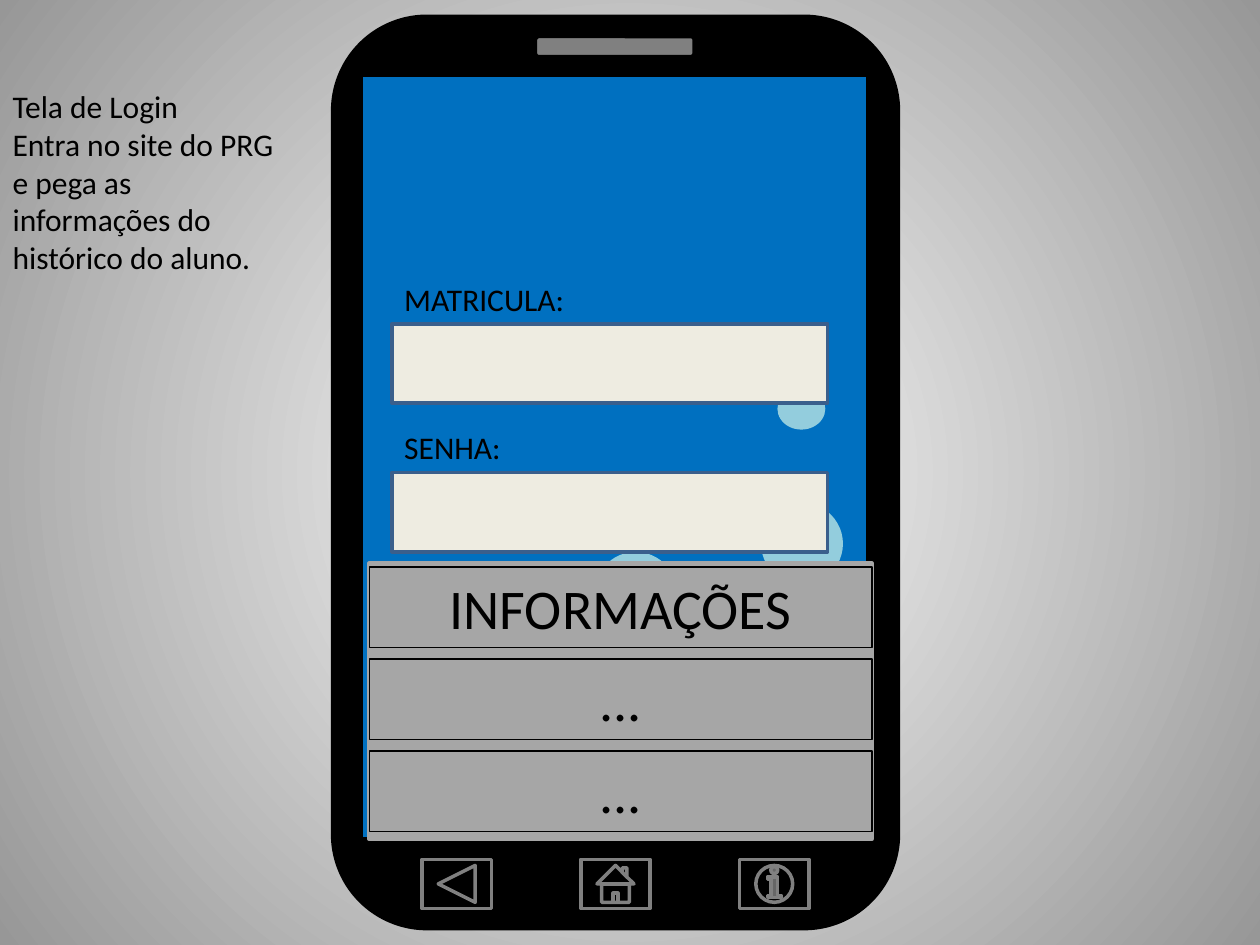
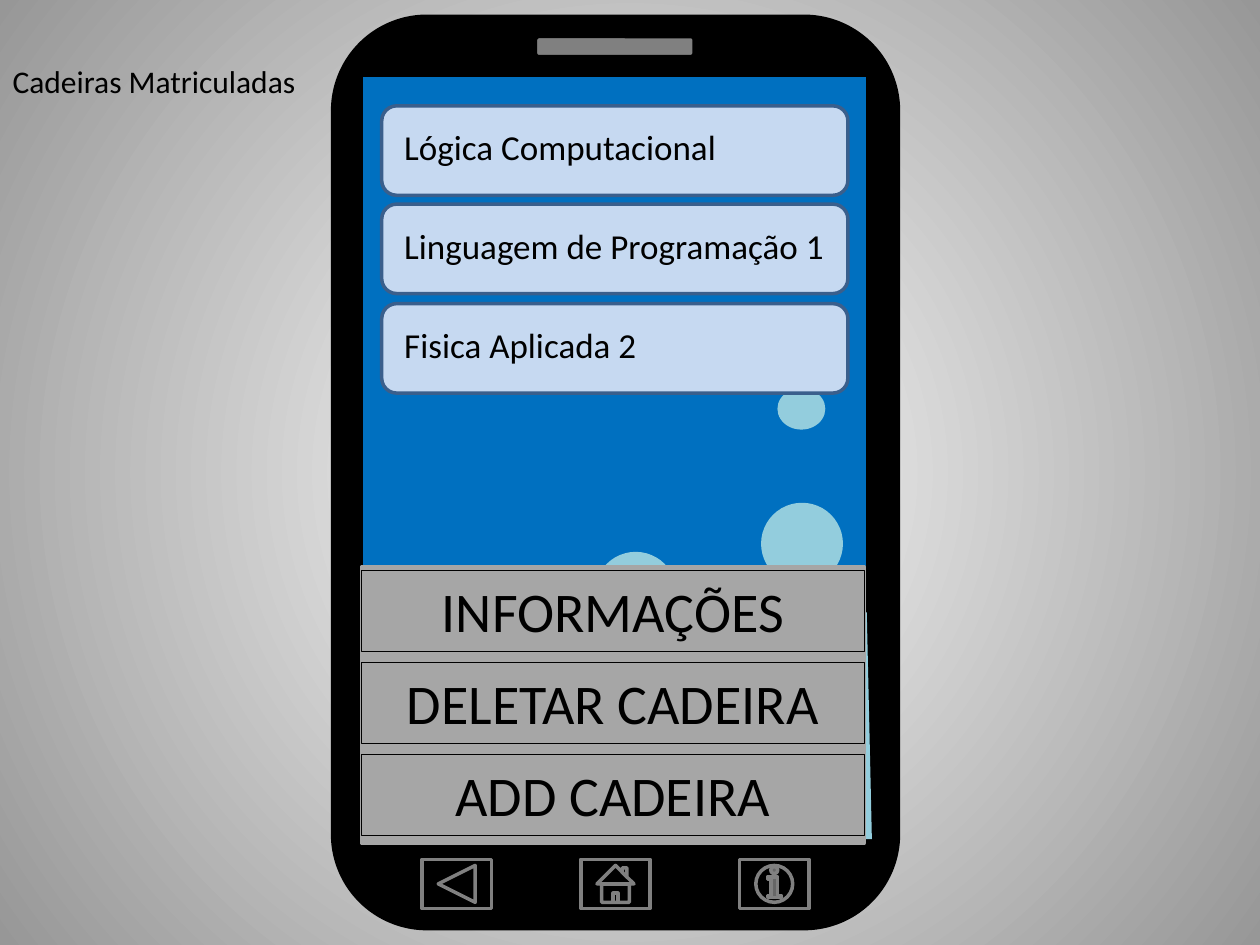
"""Build two slides that mock up the screens of a course enrolment app."""
from dataclasses import dataclass
from typing import Any, NamedTuple, Optional

from lxml import etree
from pptx import Presentation
from pptx.dml.color import RGBColor
from pptx.enum.shapes import MSO_SHAPE
from pptx.enum.text import MSO_ANCHOR, MSO_AUTO_SIZE, PP_ALIGN
from pptx.oxml.ns import qn
from pptx.util import Emu, Pt

PX = 9144
TITLE_ONLY = 5
RECT, ROUND, OVAL, PIE = (MSO_SHAPE.RECTANGLE, MSO_SHAPE.ROUNDED_RECTANGLE,
                          MSO_SHAPE.OVAL, MSO_SHAPE.PIE)
HOME, BACK, INFO = (MSO_SHAPE.ACTION_BUTTON_HOME,
                    MSO_SHAPE.ACTION_BUTTON_BACK_OR_PREVIOUS,
                    MSO_SHAPE.ACTION_BUTTON_INFORMATION)
LEFT, CENTER = PP_ALIGN.LEFT, PP_ALIGN.CENTER
TOP = MSO_ANCHOR.TOP
FIT, FIXED = MSO_AUTO_SIZE.SHAPE_TO_FIT_TEXT, MSO_AUTO_SIZE.NONE


@dataclass(frozen=True)
class Theme:
    """Colours, font and type sizes of the deck."""
    font: str = "Calibri"
    black: str = "000000"
    glow: str = "FFFFFF"
    edge: str = "979797"
    screen: str = "0070C0"
    bubble: str = "93CDDD"
    metal: str = "808080"
    menu: str = "A6A6A6"
    field: str = "EEECE1"
    card: str = "C6D9F1"
    outline: str = "3A5F8C"
    body: int = 18
    course: int = 20
    action: int = 32
    thick: float = 2
    thin: float = 0.75


THEME = Theme()


class Box(NamedTuple):
    """Left, top, width and height in px."""
    left: int
    top: int
    width: int
    height: int

    def emu(self) -> list[Emu]:
        """Return the four lengths in EMU."""
        return [Emu(v * PX) for v in self]


@dataclass(frozen=True)
class Part:
    """A preset shape with its fill and outline."""
    kind: Any
    box: Box
    fill: Optional[str] = None
    line: Optional[str] = None
    weight: float = THEME.thick
    angles: tuple[float, ...] = ()


PHONE = (
    Part(ROUND, Box(264, 13, 449, 724), THEME.black, THEME.black),
    Part(RECT, Box(287, 60, 402, 606), THEME.screen, THEME.black),
    Part(ROUND, Box(425, 29, 126, 16), THEME.metal, THEME.black),
) + tuple(Part(kind, Box(335 + 126 * i, 682, 55, 39), THEME.black, THEME.metal)
          for i, kind in enumerate((BACK, HOME, INFO)))

BUBBLES = (
    Part(PIE, Box(508, 486, 368, 360), THEME.bubble, angles=(108, 161.22)),
    Part(OVAL, Box(472, 438, 65, 65), THEME.bubble),
    Part(OVAL, Box(604, 399, 65, 65), THEME.bubble),
    Part(OVAL, Box(617, 308, 38, 33), THEME.bubble),
)


def assign(obj: Any, values: dict[str, Any]) -> None:
    """Set each named attribute of an object."""
    for name, value in values.items():
        setattr(obj, name, value)


def write(sp: Any, lines: list[str], size: int, align: Any = LEFT,
          fit: Any = FIT) -> None:
    """Fill a shape with one paragraph for each line."""
    tf = sp.text_frame
    tf.text = "\n".join(lines)
    assign(tf, {"word_wrap": True, "auto_size": fit, "vertical_anchor": TOP})
    for p in tf.paragraphs:
        p.alignment = align
        for r in p.runs:
            assign(r.font, {"name": THEME.font, "size": Pt(size)})
            r.font.color.rgb = RGBColor.from_string(THEME.black)


def draw(shapes: Any, part: Part) -> Any:
    """Add one part to a slide or a group."""
    sp = shapes.add_shape(part.kind, *part.box.emu())
    sp.shadow.inherit = False
    for i, angle in enumerate(part.angles):
        sp.adjustments[i] = angle
    if part.fill:
        sp.fill.solid()
        sp.fill.fore_color.rgb = RGBColor.from_string(part.fill)
    else:
        sp.fill.background()
    if part.line:
        sp.line.color.rgb = RGBColor.from_string(part.line)
        sp.line.width = Pt(part.weight)
    else:
        sp.line.fill.background()
    return sp


def add_label(s: Any, box: Box, text: str, size: int) -> None:
    """Add a text box with a single line."""
    write(s.shapes.add_textbox(*box.emu()), [text], size)


def paint_background(s: Any) -> None:
    """Give a slide a round gradient that darkens outwards."""
    fill = s.background.fill
    fill.gradient()
    for stop, color in zip(fill.gradient_stops, (THEME.glow, THEME.edge)):
        stop.color.rgb = RGBColor.from_string(color)
    grad = s.background._cSld.find(".//" + qn("a:gradFill"))
    grad.remove(grad.find(qn("a:lin")))
    circle = etree.SubElement(grad, qn("a:path"), {"path": "circle"})
    etree.SubElement(circle, qn("a:fillToRect"),
                     dict.fromkeys("ltrb", "50000"))


def add_screen(prs: Any, caption: list[str], box: Box) -> Any:
    """Add a slide with its caption and an empty phone."""
    s = prs.slides.add_slide(prs.slide_layouts[TITLE_ONLY])
    paint_background(s)
    title = s.shapes.title
    assign(title, dict(zip(("left", "top", "width", "height"), box.emu())))
    write(title, caption, THEME.body, fit=FIXED)
    for part in PHONE:
        draw(s.shapes, part)
    group = s.shapes.add_group_shape()
    for part in BUBBLES:
        draw(group.shapes, part)
    return s


def add_menu(s: Any, left: int, top: int, actions: list[str]) -> None:
    """Add the grey menu with its evenly spaced actions."""
    shapes = s.shapes.add_group_shape().shapes
    draw(shapes, Part(RECT, Box(left, top, 399, 219), THEME.menu, THEME.menu))
    for i, action in enumerate(actions):
        row = Box(left, top + 3 + 73 * i, 399, 64)
        sp = draw(shapes, Part(RECT, row, None, THEME.black, THEME.thin))
        write(sp, [action], THEME.action, CENTER)


def build_login(prs: Any) -> None:
    """Build the login screen."""
    caption = ["Tela de Login", "Entra no site do PRG e pega as "
               "informações do histórico do aluno."]
    s = add_screen(prs, caption, Box(0, 64, 232, 162))
    for i, name in enumerate(("MATRICULA:", "SENHA:")):
        top = 257 + 118 * i
        draw(s.shapes, Part(RECT, Box(311, top, 346, 63),
                            THEME.field, THEME.outline))
        add_label(s, Box(311, top - 40, 205, 40), name, THEME.body)
    add_menu(s, 293, 447, ["INFORMAÇÕES", "...", "..."])


def build_courses(prs: Any) -> None:
    """Build the screen of enrolled courses."""
    s = add_screen(prs, ["Cadeiras Matriculadas"], Box(0, 44, 248, 40))
    courses = ("Lógica Computacional", "Linguagem de Programação 1",
               "Fisica Aplicada 2")
    for i, course in enumerate(courses):
        top = 84 + 157 * i // 2
        draw(s.shapes, Part(ROUND, Box(303, top, 370, 71),
                            THEME.card, THEME.outline))
        add_label(s, Box(311, top + 11, 370, 44), course, THEME.course)
    add_menu(s, 287, 450, ["INFORMAÇÕES", "DELETAR CADEIRA", "ADD CADEIRA"])


def main() -> None:
    """Build and save the deck."""
    prs = Presentation()
    assign(prs, {"slide_width": Emu(1000 * PX), "slide_height": Emu(750 * PX)})
    build_login(prs)
    build_courses(prs)
    prs.save("out.pptx")


if __name__ == "__main__":
    main()
